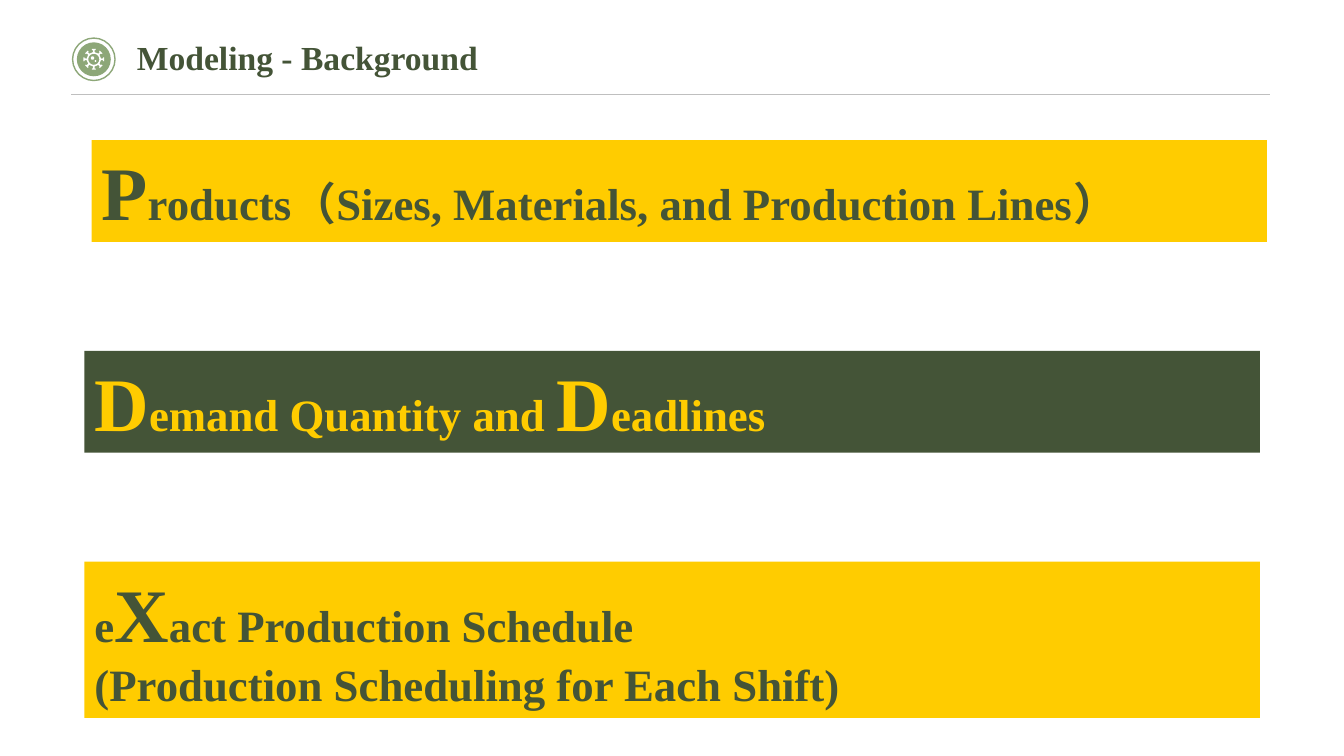
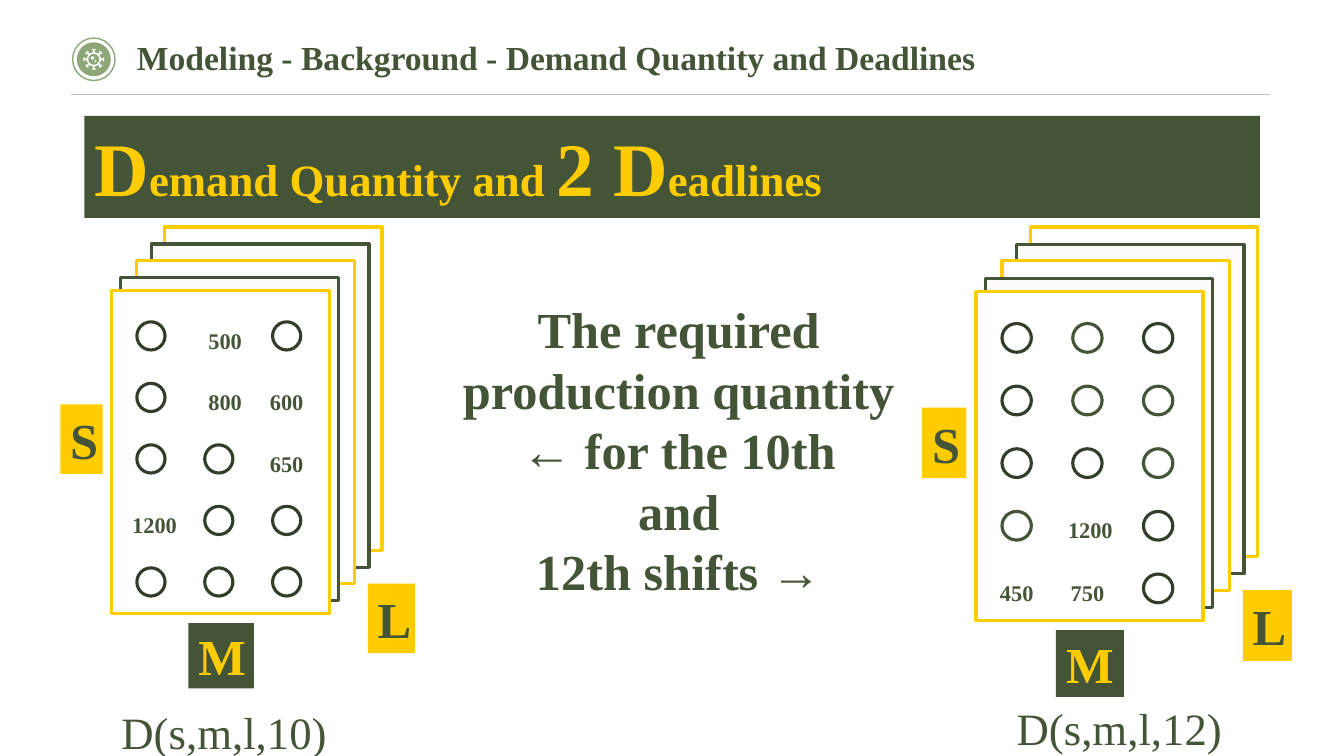
import math

from lxml import etree
from pptx import Presentation
from pptx.dml.color import RGBColor
from pptx.enum import shapes, text
from pptx.oxml import ns
from pptx.util import Cm, Pt

FONT = "Times New Roman"
GREEN, YELLOW, DARK = "445437", "FFCC00", "323E29"
SAGE, RULE, WHITE, CREAM = "8DA778", "BFBFBF", "FFFFFF", "FDFCFB"
BIG, MID = 54, 32
BAR_LEFT, BAR_WIDTH, BAR_HEIGHT = 2.13, 29.62, 2.57
RECT, OVAL = shapes.MSO_SHAPE.RECTANGLE, shapes.MSO_SHAPE.OVAL
LEFT, CENTER = text.PP_ALIGN.LEFT, text.PP_ALIGN.CENTER
TOP, MIDDLE = text.MSO_ANCHOR.TOP, text.MSO_ANCHOR.MIDDLE


def rgb(value):
    """Turn a hex string into a colour."""
    return RGBColor.from_string(value)


def paint(sp, fill=None, line=None, width=2.25):
    """Set fill and outline of a shape and drop its shadow."""
    sp.shadow.inherit = False
    if fill:
        sp.fill.solid()
        sp.fill.fore_color.rgb = rgb(fill)
    else:
        sp.fill.background()
    if line:
        sp.line.color.rgb = rgb(line)
        sp.line.width = Pt(width)
    else:
        sp.line.fill.background()


def add_shape(parent, kind, box, fill=None, line=None, width=2.25):
    """Add a painted preset shape in a box given in centimetres."""
    sp = parent.shapes.add_shape(kind, *(Cm(v) for v in box))
    paint(sp, fill, line, width)
    return sp


def write(sp, paragraphs, size, color=GREEN, align=CENTER, bold=True, anchor=TOP):
    """Fill a shape with paragraphs, each a list of (text, size) runs."""
    tf = sp.text_frame
    tf.word_wrap = True
    tf.auto_size = text.MSO_AUTO_SIZE.NONE
    tf.vertical_anchor = anchor
    for i, runs in enumerate(paragraphs):
        p = tf.add_paragraph() if i else tf.paragraphs[0]
        p.alignment = align
        p.line_spacing = 1.0
        p.space_before = Pt(0)
        p.font.name = FONT
        p.font.size = Pt(size)
        p.font.bold = bold
        p.font.color.rgb = rgb(color)
        for words, run_size in runs:
            r = p.add_run()
            r.text = words
            if run_size != size:
                r.font.size = Pt(run_size)


def add_text(parent, box, lines, size, bold=True):
    """Add a centred text box with one paragraph per line."""
    sp = parent.shapes.add_textbox(*(Cm(v) for v in box))
    write(sp, [[(line, size)] for line in lines], size, bold=bold)


def ring(cx, cy, radius, count=24):
    """Return the corners of a round contour."""
    turns = [2 * math.pi * i / count for i in range(count)]
    return [(cx + radius * math.cos(a), cy + radius * math.sin(a)) for a in turns]


def add_icon(s, left, top, size):
    """Draw the round gear badge beside the title."""
    group = s.shapes.add_group_shape()
    gap = size * 0.1
    add_shape(group, OVAL, (left, top, size, size), line=SAGE, width=1)
    add_shape(group, OVAL, (left + gap, top + gap, size - 2 * gap, size - 2 * gap), SAGE)
    cx, cy = left + size / 2, top + size / 2
    half = [(0.17, 0.1), (0.22, 0.1), (0.22, 0.19), (0.25, 0.19)]
    tooth = [(r, -a) for r, a in half] + half[::-1]
    gear = [(cx + size * r * math.sin(k * math.pi / 4 + a),
             cy - size * r * math.cos(k * math.pi / 4 + a))
            for k in range(8) for r, a in tooth]
    holes = [ring(cx, cy, size * 0.13),
             ring(cx - size * 0.03, cy - size * 0.03, size * 0.04),
             ring(cx + size * 0.04, cy + size * 0.04, size * 0.02)]
    outlines = [[(x * 1000, y * 1000) for x, y in c] for c in [gear] + holes]
    fb = group.shapes.build_freeform(*outlines[0][0], scale=Cm(1) / 1000)
    fb.add_line_segments(outlines[0][1:])
    for outline in outlines[1:]:
        fb.move_to(*outline[0])
        fb.add_line_segments(outline[1:])
    paint(fb.convert_to_shape(), WHITE)


def add_slide(prs, title):
    """Add a slide with title, badge and header rule."""
    s = prs.slides.add_slide(prs.slide_layouts[5])
    add_icon(s, 1.83, 0.96, 1.07)
    rule = s.shapes.add_connector(
        shapes.MSO_CONNECTOR.STRAIGHT, Cm(1.8), Cm(2.37), Cm(32), Cm(2.37))
    rule.line.color.rgb = rgb(RULE)
    rule.line.width = Pt(0.5)
    etree.SubElement(rule._element.spPr, ns.qn("a:effectLst"))
    sp = s.shapes.title
    sp.left, sp.top, sp.width, sp.height = Cm(3.45), Cm(0.81), Cm(24.79), Cm(1.4)
    sp.text_frame.margin_left = 0
    write(sp, [[(title, 24)]], 24, align=LEFT)
    return s


def add_bar(s, top, paragraphs, fill, color, left=BAR_LEFT, height=BAR_HEIGHT):
    """Add a wide heading bar with enlarged initials."""
    sp = add_shape(s, RECT, (left, top, BAR_WIDTH, height), fill)
    write(sp, paragraphs, MID, color, LEFT)


def add_stack(s, box, numbers, light=()):
    """Draw a stack of sheets with a grid of circles and numbers."""
    left, top, width, height = box
    kx, ky = width / 8.94, height / 11.63
    group = s.shapes.add_group_shape()

    def place(x, y, w, h):
        """Map a box on the nominal stack to the slide."""
        return left + x * kx, top + y * ky, w * kx, h * ky

    sheets = [(2.62, 0), (2.29, 0.43), (1.93, 0.84), (1.52, 1.27), (1.3, 1.6)]
    for i, (x, y) in enumerate(sheets):
        fill, line = ((WHITE, YELLOW), (CREAM, GREEN))[i % 2]
        add_shape(group, RECT, place(x, y, 5.49, 8.15), fill, line)
    for row in range(5):
        for col in range(3):
            x, y = 1.93 + 1.71 * col, 2.39 + 1.55 * row
            if (row, col) in numbers:
                number, shift = numbers[row, col]
                add_text(group, place(x - 0.5 + shift, y, 1.71, 0.94), [number], 16)
            else:
                line = GREEN if (row, col) in light else DARK
                add_shape(group, OVAL, place(x, y, 0.71, 0.71), line=line)
    tags = [("M", (3.23, 9.98, 1.65, 1.65), GREEN, YELLOW),
            ("S", (0, 4.47, 1.07, 1.75), YELLOW, GREEN),
            ("L", (7.75, 8.99, 1.19, 1.75), YELLOW, GREEN)]
    for letter, area, fill, color in tags:
        sp = add_shape(group, RECT, place(*area), fill)
        write(sp, [[(letter, 36)]], 36, color, anchor=MIDDLE)


def background_slide(prs):
    """Build the overview of the three modelling inputs."""
    s = add_slide(prs, "Modeling - Background")
    first, step = 3.53, 5.31
    add_bar(s, first,
            [[("P", BIG), ("roducts（Sizes, Materials, and Production Lines）", MID)]],
            YELLOW, GREEN, left=2.31)
    add_bar(s, first + step,
            [[("D", BIG), ("emand Quantity and ", MID), ("D", BIG), ("eadlines", MID)]],
            GREEN, YELLOW)
    add_bar(s, first + 2 * step,
            [[("e", MID), ("X", BIG), ("act Production Schedule", MID)],
             [("(Production Scheduling for Each Shift)", MID)]],
            YELLOW, GREEN, height=3.94)


def demand_slide(prs):
    """Build the comparison of demand at the two deadlines."""
    s = add_slide(prs, "Modeling - Background - Demand Quantity and Deadlines")
    add_bar(s, 2.92,
            [[("D", BIG), ("emand Quantity and ", MID), ("2 D", BIG), ("eadlines", MID)]],
            GREEN, YELLOW)
    add_stack(s, (23.24, 5.72, 9.32, 11.84),
              {(3, 1): ("1200", 0.07), (4, 0): ("450", 0), (4, 1): ("750", 0)},
              light={(0, 1), (1, 1), (1, 2), (2, 2), (3, 0)})
    add_stack(s, (1.52, 5.72, 8.94, 11.63),
              {(0, 1): ("500", 0.16), (1, 1): ("800", 0.16), (1, 2): ("600", 0),
               (2, 2): ("650", 0), (3, 0): ("1200", 0.09)})
    add_text(s, (24.69, 17.53, 7.04, 1.42), ["D(s,m,l,12)"], MID, bold=False)
    add_text(s, (2.13, 17.63, 7.04, 1.42), ["D(s,m,l,10)"], MID, bold=False)
    add_text(s, (10.97, 7.39, 12.27, 7.95),
             ["The required production quantity", "← for the 10th", "and",
              "12th shifts →"], 36)


def main():
    """Build and save the presentation."""
    prs = Presentation()
    prs.slide_width, prs.slide_height = Cm(33.87), Cm(19.05)
    background_slide(prs)
    demand_slide(prs)
    prs.save("out.pptx")


if __name__ == "__main__":
    main()
